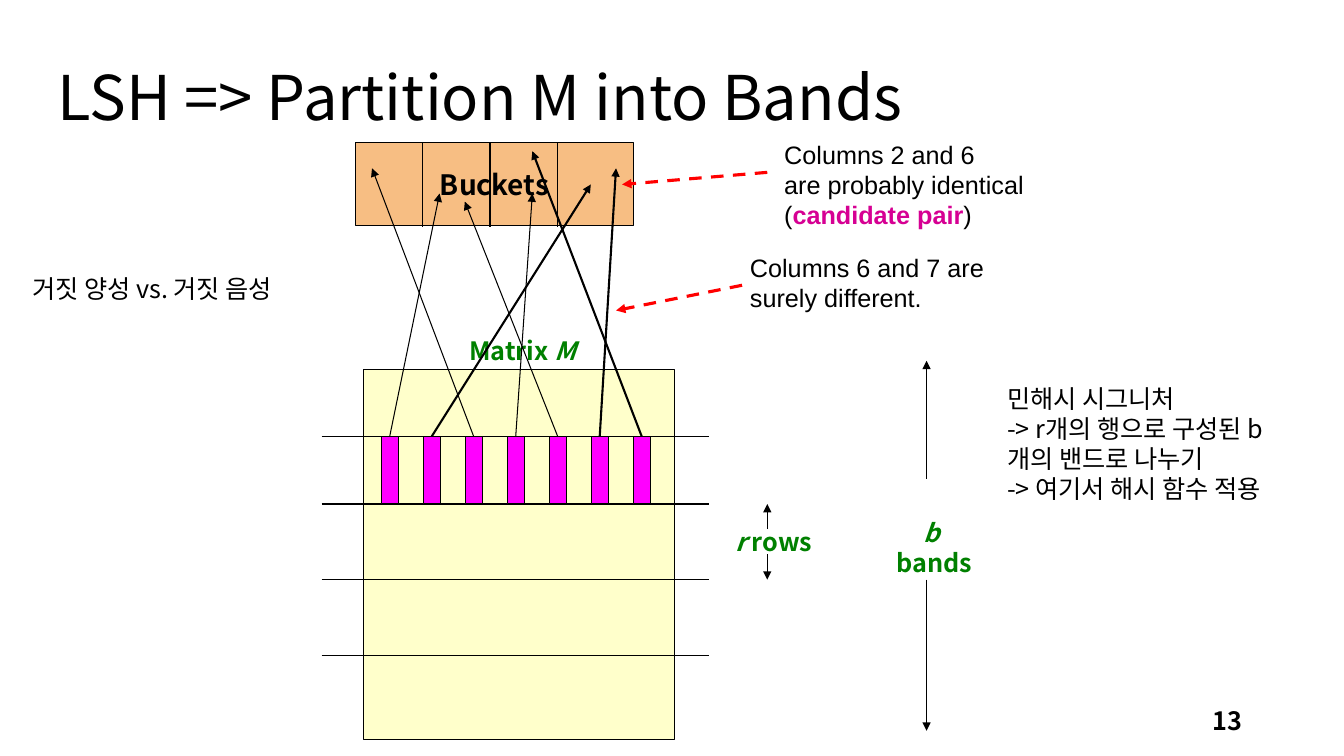
"""Build the slide that explains how LSH partitions matrix M into bands."""
from dataclasses import dataclass

from lxml import etree
from pptx import Presentation
from pptx.dml.color import RGBColor
from pptx.enum.dml import MSO_LINE
from pptx.enum.shapes import MSO_CONNECTOR, MSO_SHAPE
from pptx.enum.text import MSO_ANCHOR, MSO_AUTO_SIZE, PP_ALIGN
from pptx.oxml.ns import qn
from pptx.util import Inches, Pt

STRAIGHT, RECTANGLE, DASH = MSO_CONNECTOR.STRAIGHT, MSO_SHAPE.RECTANGLE, MSO_LINE.DASH
TOP, MIDDLE = MSO_ANCHOR.TOP, MSO_ANCHOR.MIDDLE
LEFT, CENTER, RIGHT = PP_ALIGN.LEFT, PP_ALIGN.CENTER, PP_ALIGN.RIGHT
FIXED, GROW = MSO_AUTO_SIZE.NONE, MSO_AUTO_SIZE.SHAPE_TO_FIT_TEXT
KOREAN, LATIN = "Noto Sans CJK KR", "Arial"
COLOURS = {
    "ink": "000000", "label": "008000", "candidate": "D60093", "pointer": "FF0000",
    "matrix": "FFFF99", "column": "FF00FF", "bucket": "F07F09",
}


@dataclass
class Run:
    """A piece of text with its own emphasis."""
    text: str
    colour: str = "ink"
    bold: bool = False
    italic: bool = False


@dataclass
class Note:
    """A text box with its place and format."""
    box: tuple
    paragraphs: list
    font: str = KOREAN
    align: PP_ALIGN = LEFT
    anchor: MSO_ANCHOR = TOP
    wrap: bool = True
    fit: MSO_AUTO_SIZE = GROW


@dataclass
class Line:
    """A straight line or arrow between two points."""
    start: tuple
    end: tuple
    width: float = 0.75
    colour: str = "ink"
    arrow: bool = True
    dashed: bool = False


@dataclass
class Hashing:
    """Where a column's arrow lands among the buckets."""
    target: tuple
    width: float = 0.75


def rgb(name):
    """Return the named colour."""
    return RGBColor.from_string(COLOURS[name])


def write(shape, paragraphs, *, size=18, font=KOREAN, align=LEFT, anchor=TOP,
          wrap=True, fit=GROW, spacing=None):
    """Fill a shape with paragraphs of runs in one format."""
    frame = shape.text_frame
    frame.word_wrap, frame.auto_size, frame.vertical_anchor = wrap, fit, anchor
    for index, runs in enumerate(paragraphs):
        paragraph = frame.add_paragraph() if index else frame.paragraphs[0]
        paragraph.alignment = align
        if spacing:
            paragraph.line_spacing = spacing
        for part in runs:
            run = paragraph.add_run()
            run.text = part.text
            run.font.size, run.font.name = Pt(size), font
            run.font.bold, run.font.italic = part.bold, part.italic
            run.font.color.rgb = rgb(part.colour)
            etree.SubElement(run.font._element, qn("a:ea"), typeface=font)


def add_note(slide, note: Note):
    """Draw a text box."""
    box = slide.shapes.add_textbox(*map(Inches, note.box))
    write(box, note.paragraphs, font=note.font, align=note.align,
          anchor=note.anchor, wrap=note.wrap, fit=note.fit)


def add_block(slide, box: tuple, colour: str, opacity: int = 100):
    """Draw an outlined rectangle and return it."""
    block = slide.shapes.add_shape(RECTANGLE, *map(Inches, box))
    block.shadow.inherit = False
    block.fill.solid()
    block.fill.fore_color.rgb = rgb(colour)
    block.line.color.rgb, block.line.width = rgb("ink"), Pt(0.75)
    if opacity < 100:
        tint = block._element.spPr.find(qn("a:solidFill"))[0]
        etree.SubElement(tint, qn("a:alpha"), val=str(opacity * 1000))
    return block


def add_line(slide, line: Line):
    """Draw a line and return its connector."""
    connector = slide.shapes.add_connector(
        STRAIGHT, *map(Inches, (*line.start, *line.end)))
    connector.line.color.rgb, connector.line.width = rgb(line.colour), Pt(line.width)
    if line.dashed:
        connector.line.dash_style = DASH
    if line.arrow:
        etree.SubElement(connector.line._get_or_add_ln(), qn("a:tailEnd"), type="triangle")
    etree.SubElement(connector._element.spPr, qn("a:effectLst"))
    return connector


BAND_TOP, BAND_BOTTOM = 4.33, 5.0
COLUMN_LEFT, COLUMN_WIDTH, COLUMN_PITCH = 3.78, 0.17, 2.5 / 6
BUCKET_TOP, BUCKET_BOTTOM = 1.41, 2.25

HASHINGS = [
    Hashing((4.36, 1.92)), Hashing((5.86, 1.83), 1.5), Hashing((3.69, 1.67)),
    Hashing((5.28, 1.92)), Hashing((4.61, 2)), Hashing((6.11, 1.67), 1.5),
    Hashing((5.28, 1.5), 1.5),
]
BORDERS = [Line((3.19, y), (7.03, y), arrow=False)
           for y in (BAND_TOP, BAND_BOTTOM, 5.75, 6.5)]
EXTENTS = [
    Line((7.61, 5.25), (7.61, 5)), Line((7.61, 5.5), (7.61, 5.75)),
    Line((9.19, 4.75), (9.19, 3.58)), Line((9.19, 5.75), (9.19, 7.25)),
]
DIVIDERS = [Line((x, BUCKET_TOP), (x, BUCKET_BOTTOM), arrow=False)
            for x in (4.19, 4.86, 5.53)]
POINTERS = [Line(start, end, 2.25, "pointer", dashed=True) for start, end in (
    ((7.61, 1.71), (6.17, 1.83)), ((7.36, 2.83), (6.11, 3.08)))]
LABELS = [
    Note((4.53, 3.28, 1.31, 0.4),
         [[Run("Matrix ", "label", True), Run("M", "label", True, True)]],
         align=CENTER, wrap=False),
    Note((7.15, 5.17, 1.05, 0.4),
         [[Run("r ", "label", True, True), Run("rows", "label", True)]],
         align=CENTER, wrap=False),
    Note((8.72, 5.08, 1.09, 0.7),
         [[Run("b ", "label", True, True), Run(" bands", "label", True)]], align=CENTER),
]
REMARKS = [
    Note((7.68, 1.33, 2.66, 0.99),
         [[Run("Columns 2 and 6")], [Run("are probably identical")],
          [Run("("), Run("candidate pair", "candidate", True), Run(")")]], LATIN),
    Note((7.34, 2.45, 2.53, 0.71),
         [[Run("Columns 6 and 7 are")], [Run("surely different.")]], LATIN, wrap=False),
    Note((9.42, 6.95, 3, 0.4), [[Run("13", bold=True)]],
         align=RIGHT, anchor=MIDDLE, fit=FIXED),
    Note((9.89, 3.75, 3.13, 1.29),
         [[Run("민해시 시그니처")], [Run("-> r개의 행으로 구성된 b개의 밴드로 나누기")],
          [Run("-> 여기서 해시 함수 적용")]]),
    Note((0.22, 2.66, 2.9, 0.4), [[Run("거짓 양성 vs. 거짓 음성")]]),
]


def main():
    """Build and save the slide."""
    deck = Presentation()
    deck.slide_width, deck.slide_height = Inches(13.33), Inches(7.5)
    slide = deck.slides.add_slide(deck.slide_layouts[5])

    title = slide.shapes.title
    title.left, title.top, title.width, title.height = map(Inches, (0.47, 0.27, 11.5, 1.45))
    write(title, [[Run("LSH => Partition M into Bands")]], size=44,
          anchor=MIDDLE, fit=FIXED, spacing=0.9)

    add_block(slide, (3.61, 3.67, 3.08, 3.67), "matrix", 50)
    for label in LABELS:
        add_note(slide, label)
    for line in BORDERS + EXTENTS:
        add_line(slide, line)
    columns = [add_block(slide, (COLUMN_LEFT + index * COLUMN_PITCH, BAND_TOP,
                                 COLUMN_WIDTH, BAND_BOTTOM - BAND_TOP), "column")
               for index in range(len(HASHINGS))]

    buckets = add_block(slide, (3.53, BUCKET_TOP, 2.75, 0.83), "bucket", 50)
    write(buckets, [[Run("Buckets", bold=True)]], size=20, align=CENTER,
          anchor=MIDDLE, wrap=False, fit=FIXED)
    for divider in DIVIDERS:
        add_line(slide, divider)
    for column, hashing in zip(columns, HASHINGS):
        start = (column.left.inches + COLUMN_WIDTH / 2, BAND_TOP)
        arrow = add_line(slide, Line(start, hashing.target, hashing.width))
        arrow.begin_connect(column, 0)

    for pointer in POINTERS:
        add_line(slide, pointer)
    for remark in REMARKS:
        add_note(slide, remark)
    deck.save("out.pptx")


if __name__ == "__main__":
    main()
